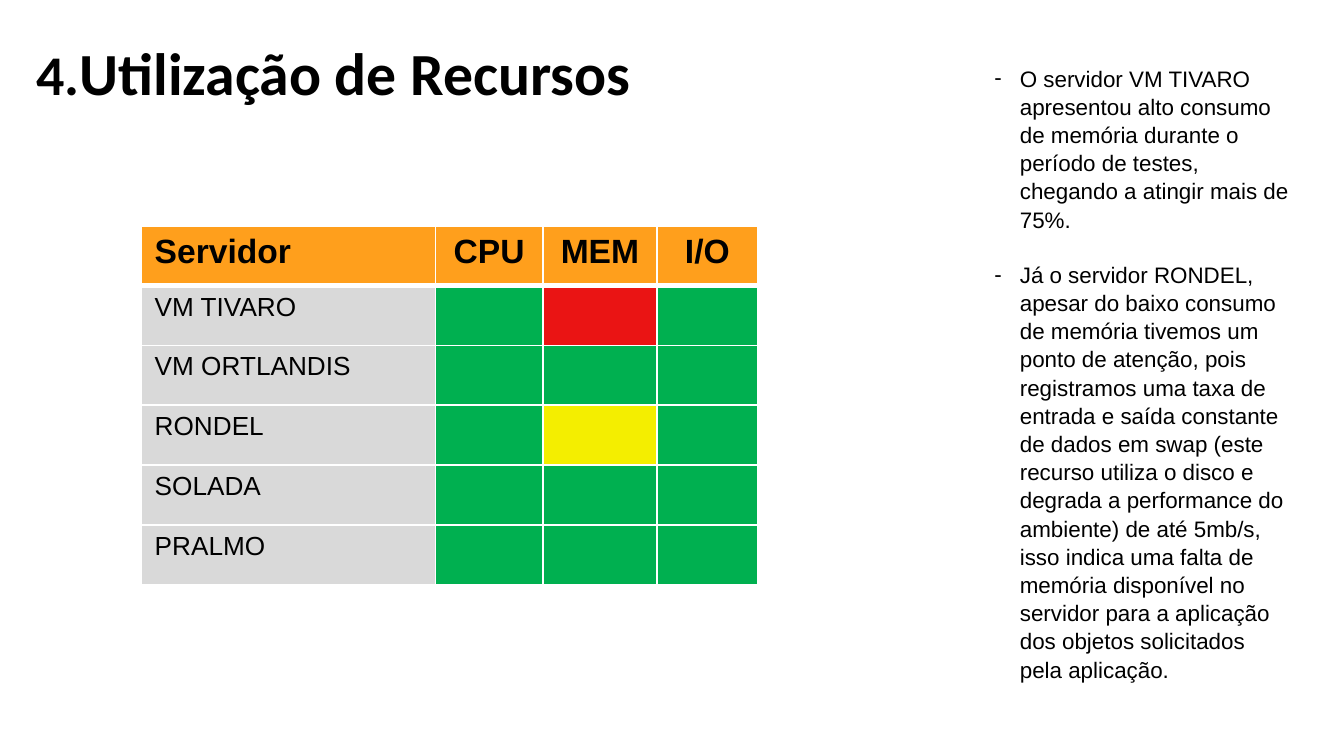
from dataclasses import dataclass

import pptx
import pptx.dml.color
import pptx.enum.text
import pptx.oxml.ns
import pptx.util
from lxml import etree

Cm = pptx.util.Cm
Pt = pptx.util.Pt
ALIGN = pptx.enum.text.PP_ALIGN
ANCHOR = pptx.enum.text.MSO_ANCHOR
AUTO_SIZE = pptx.enum.text.MSO_AUTO_SIZE


@dataclass(frozen=True)
class Theme:
    ink: str = "000000"
    border: str = "FFFFFF"
    header: str = "FF9F1C"
    label: str = "D9D9D9"
    ok: str = "00B050"
    warning: str = "F4EE00"
    critical: str = "EA1414"
    title_font: str = "Calibri"
    text_font: str = "Arial"
    number_size: float = 30
    title_size: float = 32
    header_size: float = 18
    label_size: float = 14
    remark_size: float = 12


def rgb(value):
    return pptx.dml.color.RGBColor.from_string(value)


def add_text(paragraph, text, *, font, size, color, bold=False, align=ALIGN.LEFT):
    paragraph.alignment = align
    run = paragraph.add_run()
    run.text = text
    run.font.name = font
    run.font.size = Pt(size)
    run.font.bold = bold
    run.font.color.rgb = rgb(color)


def add_element(parent, tag, **attributes):
    element = etree.SubElement(parent, pptx.oxml.ns.qn(tag))
    for name, value in attributes.items():
        element.set(name, str(value))
    return element


class SlideBuilder:
    def __init__(self, slide, theme):
        self.slide = slide
        self.theme = theme

    def place(self, part, left, top, width, height):
        part.left, part.top = Cm(left), Cm(top)
        part.width, part.height = Cm(width), Cm(height)

    def title(self, number, heading, box):
        theme = self.theme
        title = self.slide.shapes.title
        self.place(title, *box)
        frame = title.text_frame
        frame.vertical_anchor = ANCHOR.TOP
        frame.margin_top = Cm(0.2)
        for text, size in ((number, theme.number_size), (heading, theme.title_size)):
            add_text(frame.paragraphs[0], text, font=theme.title_font,
                     size=size, color=theme.ink, bold=True)

    def remark_list(self, remarks, box):
        theme = self.theme
        body = self.slide.placeholders[1]
        self.place(body, *box)
        frame = body.text_frame
        frame.auto_size = AUTO_SIZE.SHAPE_TO_FIT_TEXT
        indent = Cm(0.48)
        for index, remark in enumerate(remarks):
            paragraph = frame.add_paragraph() if index else frame.paragraphs[0]
            add_text(paragraph, remark, font=theme.text_font,
                     size=theme.remark_size, color=theme.ink)
            paragraph.line_spacing = 1.05
            paragraph.space_before = Pt(14.5 if index else 0)
            properties = paragraph._p.get_or_add_pPr()
            properties.set("marL", str(indent))
            properties.set("indent", str(-indent))
            add_element(properties, "a:buChar", char="-")

    def cell(self, cell, fill, top=1, bottom=1):
        properties = cell._tc.get_or_add_tcPr()
        for side, width in (("L", 1), ("R", 1), ("T", top), ("B", bottom)):
            line = add_element(properties, f"a:ln{side}", w=Pt(width))
            solid = add_element(line, "a:solidFill")
            add_element(solid, "a:srgbClr", val=self.theme.border)
        cell.fill.solid()
        cell.fill.fore_color.rgb = rgb(fill)

    def status_table(self, headings, servers, widths, box):
        theme = self.theme
        frame = self.slide.shapes.add_table(
            len(servers) + 1, len(headings), *(Cm(length) for length in box))
        table = frame.table
        for column, width in zip(table.columns, widths):
            column.width = Cm(width)
        for row in table.rows:
            row.height = Cm(box[3] / len(table.rows))
        for column, heading in enumerate(headings):
            cell = table.cell(0, column)
            self.cell(cell, theme.header, bottom=3)
            add_text(cell.text_frame.paragraphs[0], heading, font=theme.text_font,
                     size=theme.header_size, color=theme.ink, bold=True,
                     align=ALIGN.CENTER if column else ALIGN.LEFT)
        for row, (server, *statuses) in enumerate(servers, start=1):
            for column, fill in enumerate((theme.label, *statuses)):
                self.cell(table.cell(row, column), fill, top=3 if row == 1 else 1)
            add_text(table.cell(row, 0).text_frame.paragraphs[0], server,
                     font=theme.text_font, size=theme.label_size, color=theme.ink)


def main():
    theme = Theme()
    presentation = pptx.Presentation()
    presentation.slide_width = Cm(25.4)
    presentation.slide_height = Cm(14.29)
    slide = presentation.slides.add_slide(presentation.slide_layouts[1])
    builder = SlideBuilder(slide, theme)

    builder.status_table(
        ("Servidor", "CPU", "MEM", "I/O"),
        (
            ("VM TIVARO", theme.ok, theme.critical, theme.ok),
            ("VM ORTLANDIS", theme.ok, theme.ok, theme.ok),
            ("RONDEL", theme.ok, theme.warning, theme.ok),
            ("SOLADA", theme.ok, theme.ok, theme.ok),
            ("PRALMO", theme.ok, theme.ok, theme.ok),
        ),
        widths=(5.56, 2.03, 2.16, 1.9),
        box=(2.67, 4.27, 11.65, 6.78),
    )
    builder.title("4.", "Utilização de Recursos", box=(0.43, 0.48, 16.79, 2.08))
    builder.remark_list(
        (
            "O servidor VM TIVARO apresentou alto consumo de memória durante o "
            "período de testes, chegando a atingir mais de 75%.",
            "Já o servidor RONDEL, apesar do baixo consumo de memória tivemos um "
            "ponto de atenção, pois registramos uma taxa de entrada e saída "
            "constante de dados em swap (este recurso utiliza o disco e degrada a "
            "performance do ambiente) de até 5mb/s, isso indica uma falta de "
            "memória disponível no servidor para a aplicação dos objetos "
            "solicitados pela aplicação.",
        ),
        box=(18.54, 1.07, 6.12, 11.53),
    )
    presentation.save("out.pptx")


if __name__ == "__main__":
    main()
